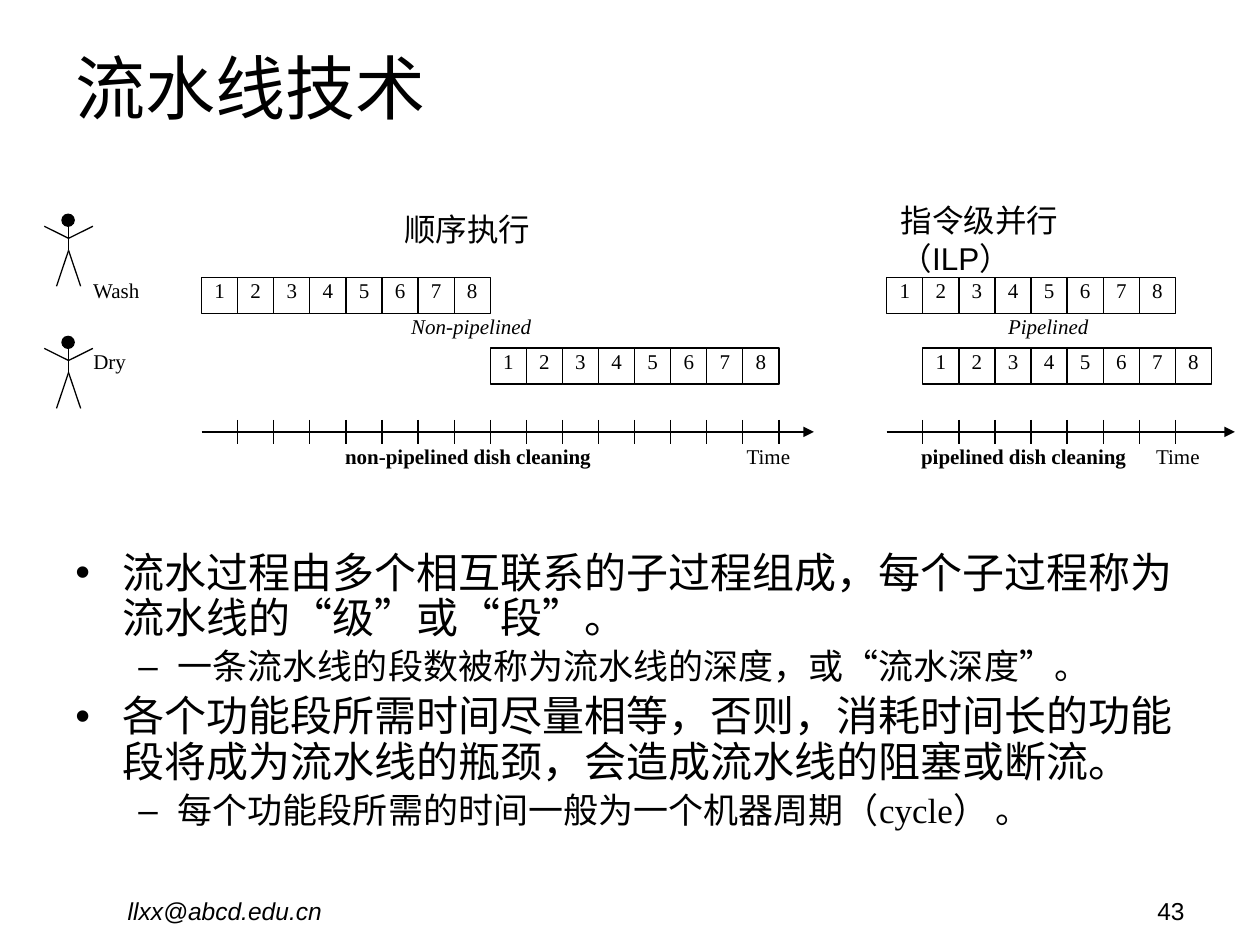
from dataclasses import dataclass

from lxml import etree
from pptx import Presentation
from pptx.dml.color import RGBColor
from pptx.enum.shapes import MSO_CONNECTOR, MSO_SHAPE
from pptx.enum.text import MSO_ANCHOR, PP_ALIGN
from pptx.oxml.ns import qn
from pptx.util import Pt

LEFT, CENTER, RIGHT = PP_ALIGN.LEFT, PP_ALIGN.CENTER, PP_ALIGN.RIGHT
TOP, MIDDLE = MSO_ANCHOR.TOP, MSO_ANCHOR.MIDDLE
RECTANGLE, OVAL = MSO_SHAPE.RECTANGLE, MSO_SHAPE.OVAL
STRAIGHT = MSO_CONNECTOR.STRAIGHT


@dataclass(frozen=True)
class Theme:
    ink: RGBColor = RGBColor(0, 0, 0)
    paper: RGBColor = RGBColor(255, 255, 255)
    sans: str = "Arial"
    serif: str = "Times New Roman"
    chinese: str = "Noto Sans CJK SC"
    title: float = 40
    body: float = 24
    detail: float = 20
    heading: float = 18
    footer: float = 14
    label: float = 12
    line: float = 0.75


THEME = Theme()


def write(shape, paragraph, text, size, name, **style):
    """Add a run to the paragraph and prepare its text frame."""
    shape.text_frame.word_wrap = True
    run = paragraph.add_run()
    run.text = text
    run.font.color.rgb = THEME.ink
    for key, value in {"size": Pt(size), "name": name, **style}.items():
        setattr(run.font, key, value)
    properties = run._r.get_or_add_rPr()
    east_asian = etree.SubElement(properties, qn("a:ea"), typeface=THEME.chinese)
    properties.find(qn("a:latin")).addnext(east_asian)


def add_line(x1, y1, x2, y2, arrow=False):
    line = slide.shapes.add_connector(STRAIGHT, Pt(x1), Pt(y1), Pt(x2), Pt(y2))
    line.line.color.rgb = THEME.ink
    line.line.width = Pt(THEME.line)
    if arrow:
        etree.SubElement(line.line._get_or_add_ln(), qn("a:tailEnd"), type="triangle")
    etree.SubElement(line._element.spPr, qn("a:effectLst"))


presentation = Presentation()
presentation.slide_width, presentation.slide_height = Pt(720), Pt(540)
slide = presentation.slides.add_slide(presentation.slide_layouts[6])

# Title, headings and footer
for text, left, top, width, height, size, align, anchor, italic in (
    ("流水线技术", 36, 21.6, 648, 55.4, THEME.title, LEFT, MIDDLE, False),
    ("顺序执行", 224, 116.6, 100, 28.8, THEME.heading, LEFT, TOP, False),
    ("指令级并行（ILP）", 507.6, 111.6, 130, 50.4, THEME.heading, LEFT, TOP, False),
    ("llxx@abcd.edu.cn", 14.4, 508.3, 228.2, 20.9, THEME.footer, CENTER, TOP, True),
    ("43", 516.2, 508.3, 167.8, 20.9, THEME.footer, RIGHT, TOP, False),
):
    box = slide.shapes.add_textbox(Pt(left), Pt(top), Pt(width), Pt(height))
    box.text_frame.vertical_anchor = anchor
    paragraph = box.text_frame.paragraphs[0]
    paragraph.alignment = align
    write(box, paragraph, text, size, THEME.sans, italic=italic)

# Bullets
body = slide.shapes.add_textbox(Pt(36), Pt(311.8), Pt(648), Pt(182.2))
bullets = (
    (0, ["流水过程由多个相互联系的子过程组成，每个子过程称为流水线的“级”或“段”。"]),
    (1, ["一条流水线的段数被称为流水线的深度，或“流水深度”。"]),
    (0, ["各个功能段所需时间尽量相等，否则，消耗时间长的功能段将成为流水线的瓶颈，会造成流水线的阻塞或断流。"]),
    (1, ["每个功能段所需的时间一般为一个机器周期（", "cycle", "） 。"]),
)
levels = (("•", THEME.body, 27, -27), ("–", THEME.detail, 58.5, -22.5))
for index, (level, pieces) in enumerate(bullets):
    mark, size, margin, indent = levels[level]
    paragraph = body.text_frame.paragraphs[0] if index == 0 else body.text_frame.add_paragraph()
    for key, value in {"level": level, "line_spacing": 0.9, "space_before": Pt(size * 0.2)}.items():
        setattr(paragraph, key, value)
    properties = paragraph._p.get_or_add_pPr()
    properties.set("marL", str(Pt(margin)))
    properties.set("indent", str(Pt(indent)))
    etree.SubElement(properties, qn("a:buFont"), typeface=THEME.sans)
    etree.SubElement(properties, qn("a:buChar"), char=mark)
    for piece in pieces:
        write(body, paragraph, piece, size, THEME.serif if piece == "cycle" else THEME.chinese)

# Diagram grid
STEP = 20.62
STAGES = 8
WASH_TOP, DRY_TOP, AXIS_Y = 158.4, 198.9, 246.8
TICK = 6.9
SEQUENTIAL_LEFT, PIPELINED_LEFT = 115.2, 506.7

# Diagram labels
label_top = AXIS_Y + TICK
for text, left, top, width, align, style in (
    ("Wash", 53.3, WASH_TOP, 54.7, LEFT, {}),
    ("Dry", 53.3, DRY_TOP, 34.6, LEFT, {}),
    ("Time", 348.5, label_top, 103, RIGHT, {}),
    ("Time", 582.5, label_top, 103, RIGHT, {}),
    ("Non-pipelined", 211, WASH_TOP + STEP, 116.6, CENTER, {"italic": True}),
    ("Pipelined", 540.7, WASH_TOP + STEP, 116.6, CENTER, {"italic": True}),
    ("non-pipelined dish cleaning", 186.5, label_top, 162, CENTER, {"bold": True}),
    ("pipelined dish cleaning", 519.1, label_top, 131.8, CENTER, {"bold": True}),
):
    label = slide.shapes.add_textbox(Pt(left), Pt(top), Pt(width), Pt(STEP))
    for side in ("left", "top", "right", "bottom"):
        setattr(label.text_frame, f"margin_{side}", 0)
    paragraph = label.text_frame.paragraphs[0]
    paragraph.alignment = align
    write(label, paragraph, text, THEME.label, THEME.serif, **style)

# Dish cells: start of each row and its top
for left, top in (
    (SEQUENTIAL_LEFT, WASH_TOP),
    (SEQUENTIAL_LEFT + STAGES * STEP, DRY_TOP),
    (PIPELINED_LEFT, WASH_TOP),
    (PIPELINED_LEFT + STEP, DRY_TOP),
):
    for stage in range(STAGES):
        cell = slide.shapes.add_shape(RECTANGLE, Pt(left + stage * STEP), Pt(top), Pt(STEP), Pt(STEP))
        cell.shadow.inherit = False
        cell.fill.solid()
        cell.fill.fore_color.rgb = THEME.paper
        cell.line.color.rgb = THEME.ink
        cell.line.width = Pt(THEME.line)
        for side in ("left", "top", "right", "bottom"):
            setattr(cell.text_frame, f"margin_{side}", 0)
        cell.text_frame.vertical_anchor = TOP
        paragraph = cell.text_frame.paragraphs[0]
        paragraph.alignment = CENTER
        write(cell, paragraph, str(stage + 1), THEME.label, THEME.serif)

# Time axes
for left, right, ticks in ((SEQUENTIAL_LEFT, 465.1, 2 * STAGES), (PIPELINED_LEFT, 705.6, STAGES)):
    add_line(left, AXIS_Y, right, AXIS_Y, arrow=True)
    for tick in range(1, ticks + 1):
        x = left + tick * STEP
        add_line(x, AXIS_Y - TICK, x, AXIS_Y + TICK)

# Stick figures
FIGURE_X = 39.2
for top in (122.4, 192.2):
    head = slide.shapes.add_shape(OVAL, Pt(FIGURE_X - 3.8), Pt(top), Pt(7), Pt(6.9))
    head.shadow.inherit = False
    head.fill.solid()
    head.fill.fore_color.rgb = THEME.ink
    head.line.color.rgb = THEME.ink
    head.line.width = Pt(THEME.line)
    neck, shoulder, hip, foot = (top + drop for drop in (6.9, 13.8, 20.7, 41.2))
    add_line(FIGURE_X, neck, FIGURE_X, hip)
    for side in (-1, 1):
        add_line(FIGURE_X, shoulder, FIGURE_X + side * 13.9, neck)
        add_line(FIGURE_X, hip, FIGURE_X + side * 6.9, foot)

presentation.save("out.pptx")
